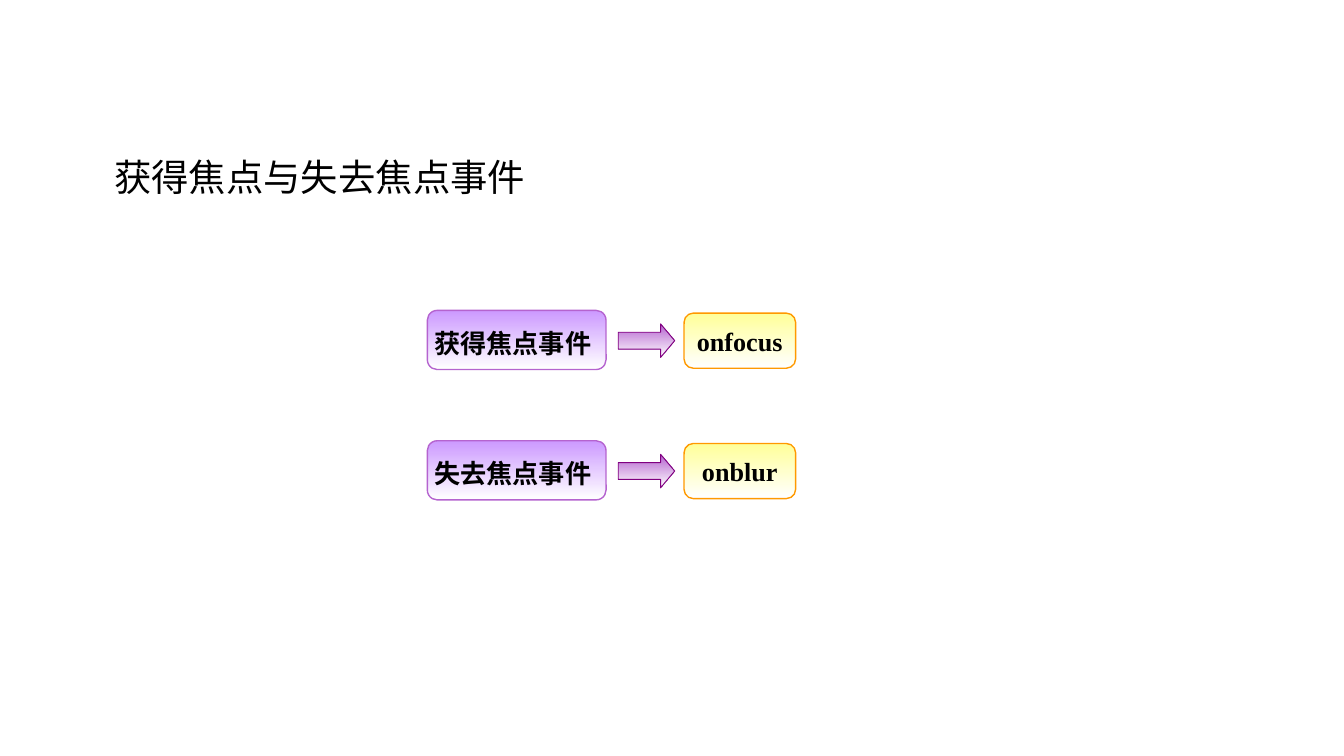
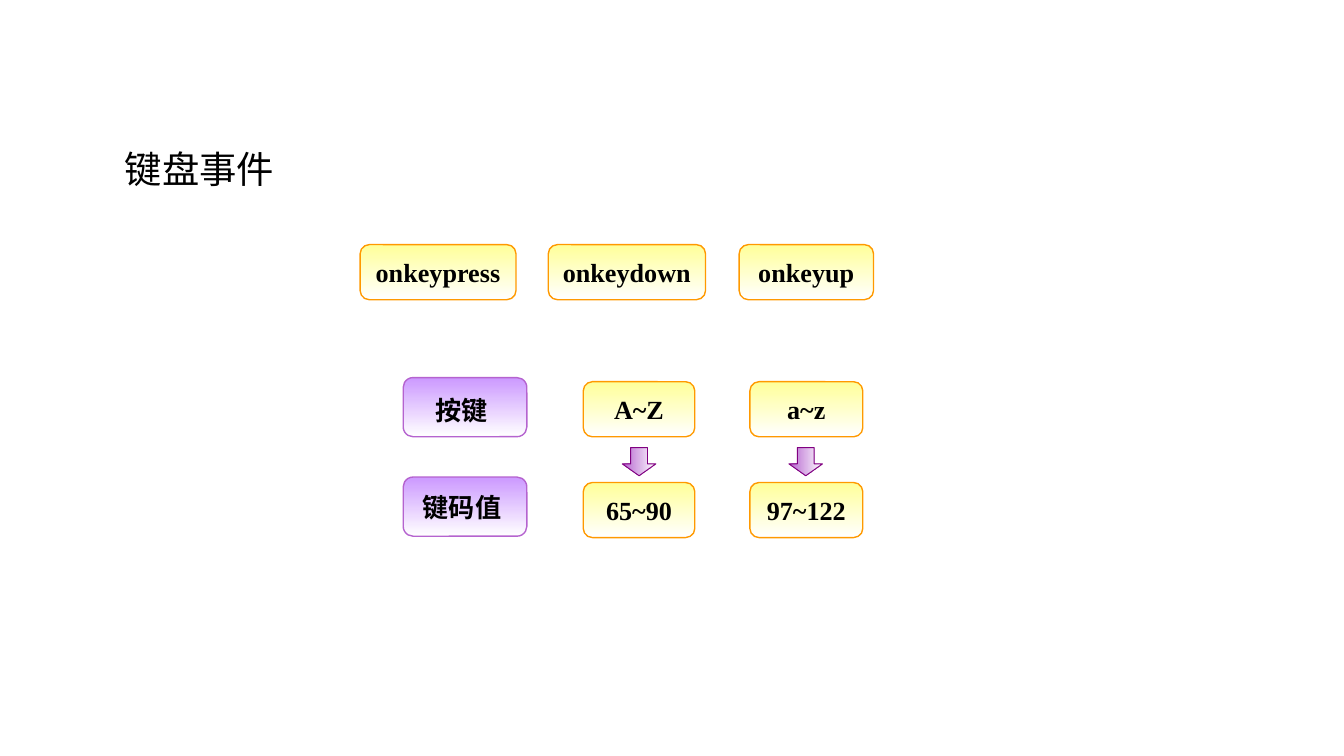
from pptx import Presentation
from pptx import util as u
from pptx.dml.color import RGBColor
from pptx.enum import shapes, text
from pptx.oxml.ns import qn

FONT = "Times New Roman"
BLACK, WHITE = "000000", "FFFFFF"
# Gradient start and outline of each kind of shape
LABEL = ("CC99FF", "B563CF")
VALUE = ("FFFF99", "FF9900")
ARROW = ("B563CF", "800080")
LABEL_H, VALUE_H = 0.44, 0.41


def color(hex_text):
    return RGBColor.from_string(hex_text)


def style_run(r, size, bold=False, font=FONT):
    r.font.name = font
    r.font.size = u.Pt(size)
    r.font.bold = bold
    r.font.color.rgb = color(BLACK)


def add_title(s, x, y, title):
    tf = s.shapes.add_textbox(u.Inches(x), u.Inches(y), u.Inches(3.58), u.Inches(0.44)).text_frame
    tf.word_wrap = True
    tf.auto_size = text.MSO_AUTO_SIZE.SHAPE_TO_FIT_TEXT
    tf.text = title
    style_run(tf.paragraphs[0].runs[0], 20)


def add_gradient_shape(s, kind, x, y, w, h, colors, line_width, angle=270):
    sp = s.shapes.add_shape(kind, u.Inches(x), u.Inches(y), u.Inches(w), u.Inches(h))
    sp.shadow.inherit = False
    start, line = colors
    sp.fill.gradient()
    sp.fill.gradient_angle = angle
    for stop, stop_color in zip(sp.fill.gradient_stops, (start, WHITE)):
        stop.color.rgb = color(stop_color)
    # The gradient keeps its direction when the shape is turned
    sp._element.spPr.find(qn("a:gradFill")).set("rotWithShape", "0")
    sp.line.color.rgb = color(line)
    sp.line.width = u.Pt(line_width)
    return sp


def add_box(s, x, y, w, h, words, colors):
    sp = add_gradient_shape(s, shapes.MSO_SHAPE.ROUNDED_RECTANGLE, x, y, w, h, colors, 0.75)
    tf = sp.text_frame
    tf.word_wrap = False
    tf.vertical_anchor = text.MSO_ANCHOR.MIDDLE
    tf.text = words
    p = tf.paragraphs[0]
    p.alignment = text.PP_ALIGN.CENTER
    style_run(p.runs[0], 14, bold=True)
    return p


def add_label(s, x, y, w, words, wide_space=True):
    p = add_box(s, x, y, w, LABEL_H, words, LABEL)
    if wide_space:
        r = p.add_run()
        r.text = " "
        style_run(r, 18, bold=True, font="Arial")


def add_value(s, x, y, w, words):
    add_box(s, x, y, w, VALUE_H, words, VALUE)


def add_arrow(s, x, y, w, angle=270, rotation=0):
    sp = add_gradient_shape(s, shapes.MSO_SHAPE.RIGHT_ARROW, x, y, w, 0.25, ARROW, 0.5, angle)
    sp.adjustments[0] = 0.5
    sp.adjustments[1] = 0.42
    sp.rotation = rotation


def build_focus_slide(s):
    add_title(s, 0.75, 1.1, "获得焦点与失去焦点事件")
    rows = [("获得焦点事件", "onfocus"), ("失去焦点事件", "onblur")]
    for i, (event, handler) in enumerate(rows):
        y = 2.31 + 0.97 * i
        add_label(s, 3.18, y, 1.33, event)
        add_value(s, 5.09, y + 0.02, 0.83, handler)
        add_arrow(s, 4.6, y + 0.1, 0.42)


def build_keyboard_slide(s):
    add_title(s, 0.83, 1.04, "键盘事件")

    # Row labels
    add_label(s, 3, 2.81, 0.92, "按键")
    add_label(s, 3, 3.55, 0.92, "键码值 ", wide_space=False)

    # Keys above their codes
    for x, w, keys, codes in [(4.34, 0.83, "A~Z", "65~90"), (5.58, 0.84, "a~z", "97~122")]:
        add_value(s, x, 2.84, w, keys)
        add_value(s, x, 3.59, w, codes)
        add_arrow(s, x + 0.31, 3.31, 0.21, angle=0, rotation=90)

    # Event handlers
    for x, w, handler in [(2.68, 1.16, "onkeypress"), (4.08, 1.17, "onkeydown"), (5.5, 1, "onkeyup")]:
        add_value(s, x, 1.82, w, handler)


def main():
    prs = Presentation()
    # Widescreen, 16:9
    prs.slide_width = u.Inches(10)
    prs.slide_height = u.Inches(10 * 9 / 16)
    for build in (build_focus_slide, build_keyboard_slide):
        build(prs.slides.add_slide(prs.slide_layouts[6]))
    prs.save("out.pptx")


if __name__ == "__main__":
    main()
